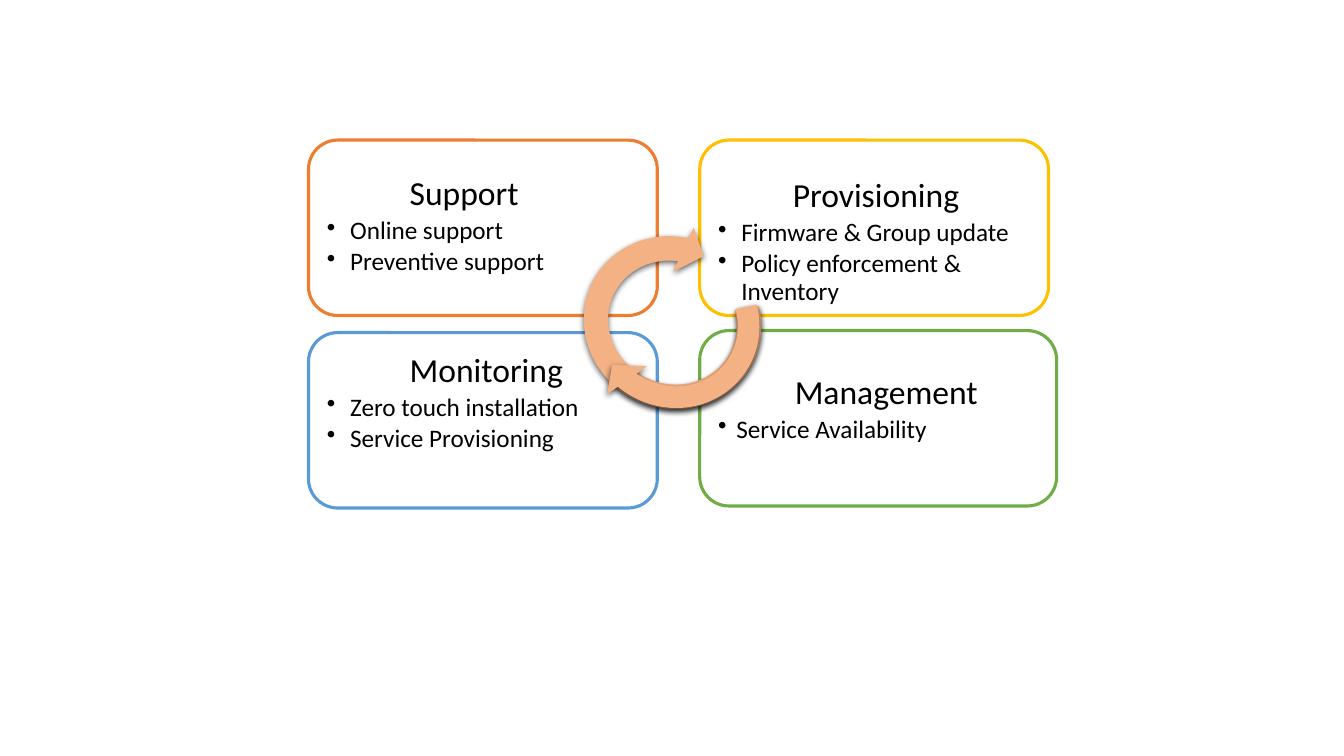
from lxml import etree
from pptx import Presentation
from pptx.dml.color import RGBColor
from pptx.enum.shapes import MSO_SHAPE
from pptx.enum.text import MSO_ANCHOR, PP_ALIGN
from pptx.oxml.ns import qn
from pptx.util import Inches, Pt

ROUNDED = MSO_SHAPE.ROUNDED_RECTANGLE
CIRCULAR_ARROW = MSO_SHAPE.CIRCULAR_ARROW
TOP = MSO_ANCHOR.TOP
LEFT = PP_ALIGN.LEFT

# Content: heading, bullets, line colour, (left, top, width),
# inset above the text, heading indent, bullet text indent
CARDS = [
    ("Monitoring", ["Zero touch installation", "Service Provisioning"],
     "5B9BD5", (3.06, 3.3, 3.46), 0.12, 0.82, 0.23),
    ("Provisioning", ["Firmware & Group update", "Policy enforcement & Inventory"],
     "FFC000", (6.94, 1.39, 3.46), 0.3, 0.74, 0.23),
    ("Management", ["Service Availability"],
     "70AD47", (6.94, 3.28, 3.54), 0.36, 0.76, 0.18),
    ("Support", ["Online support", "Preventive support"],
     "ED7D31", (3.06, 1.39, 3.46), 0.28, 0.82, 0.23),
]
CARD_HEIGHT = 1.74

# Rotation and shape adjustments of the two cycle arrows
ARROWS = [
    (297.5, (0.125, 10.004, 204.577, 31.091, 0.125)),
    (124.1, (0.111, 10.004, 2.471, 134.363, 0.125)),
]
ARROW_BOX = (5.7, 2.19, 1.94, 2.02)


def color(value):
    return RGBColor.from_string(value)


def format_paragraph(para, size, margin, bulleted):
    properties = para._p.get_or_add_pPr()
    properties.set("marL", str(Inches(margin)))
    properties.set("indent", str(-Inches(margin) if bulleted else 0))
    if bulleted:
        etree.SubElement(properties, qn("a:buChar")).set("char", "•")
    else:
        etree.SubElement(properties, qn("a:buNone"))
    para.alignment = LEFT
    para.line_spacing = 0.9
    para.space_after = Pt(size * 0.15)
    para.font.size = Pt(size)
    para.font.name = "Calibri"
    para.font.color.rgb = color("000000")


def add_card(page, heading, bullets, line, place, inset, heading_indent, bullet_indent):
    left, top, width = place
    card = page.shapes.add_shape(ROUNDED, Inches(left), Inches(top),
                                 Inches(width), Inches(CARD_HEIGHT))
    card.shadow.inherit = False
    card.fill.solid()
    card.fill.fore_color.rgb = color("FFFFFF")
    card.line.color.rgb = color(line)
    card.line.width = Pt(2.25)
    frame = card.text_frame
    frame.word_wrap = True
    frame.vertical_anchor = TOP
    frame.margin_top = Inches(inset)
    frame.margin_bottom = 0
    frame.text = "\n".join([heading] + bullets)
    format_paragraph(frame.paragraphs[0], 24, heading_indent, False)
    for para in frame.paragraphs[1:]:
        format_paragraph(para, 18, bullet_indent, True)


def add_drop_shadow(shape):
    shape.shadow.inherit = False
    effects = shape._element.spPr.find(qn("a:effectLst"))
    shadow = etree.SubElement(effects, qn("a:outerShdw"), blurRad=str(Pt(4.5)),
                              dist=str(Pt(1.5)), dir="5400000", rotWithShape="0")
    tint = etree.SubElement(shadow, qn("a:srgbClr"), val="000000")
    etree.SubElement(tint, qn("a:alpha"), val="63000")


def add_cycle_arrow(page, rotation, adjustments):
    arrow = page.shapes.add_shape(CIRCULAR_ARROW, *map(Inches, ARROW_BOX))
    arrow.rotation = rotation
    for index, value in enumerate(adjustments):
        arrow.adjustments[index] = value
    arrow.fill.solid()
    arrow.fill.fore_color.rgb = color("F4B183")
    arrow.line.fill.background()
    add_drop_shadow(arrow)


def main():
    deck = Presentation()
    deck.slide_width, deck.slide_height = Inches(13.33), Inches(7.5)
    page = deck.slides.add_slide(deck.slide_layouts[6])

    # Four cards, then the cycle in front of them
    for card in CARDS:
        add_card(page, *card)
    for rotation, adjustments in ARROWS:
        add_cycle_arrow(page, rotation, adjustments)

    deck.save("out.pptx")


if __name__ == "__main__":
    main()
